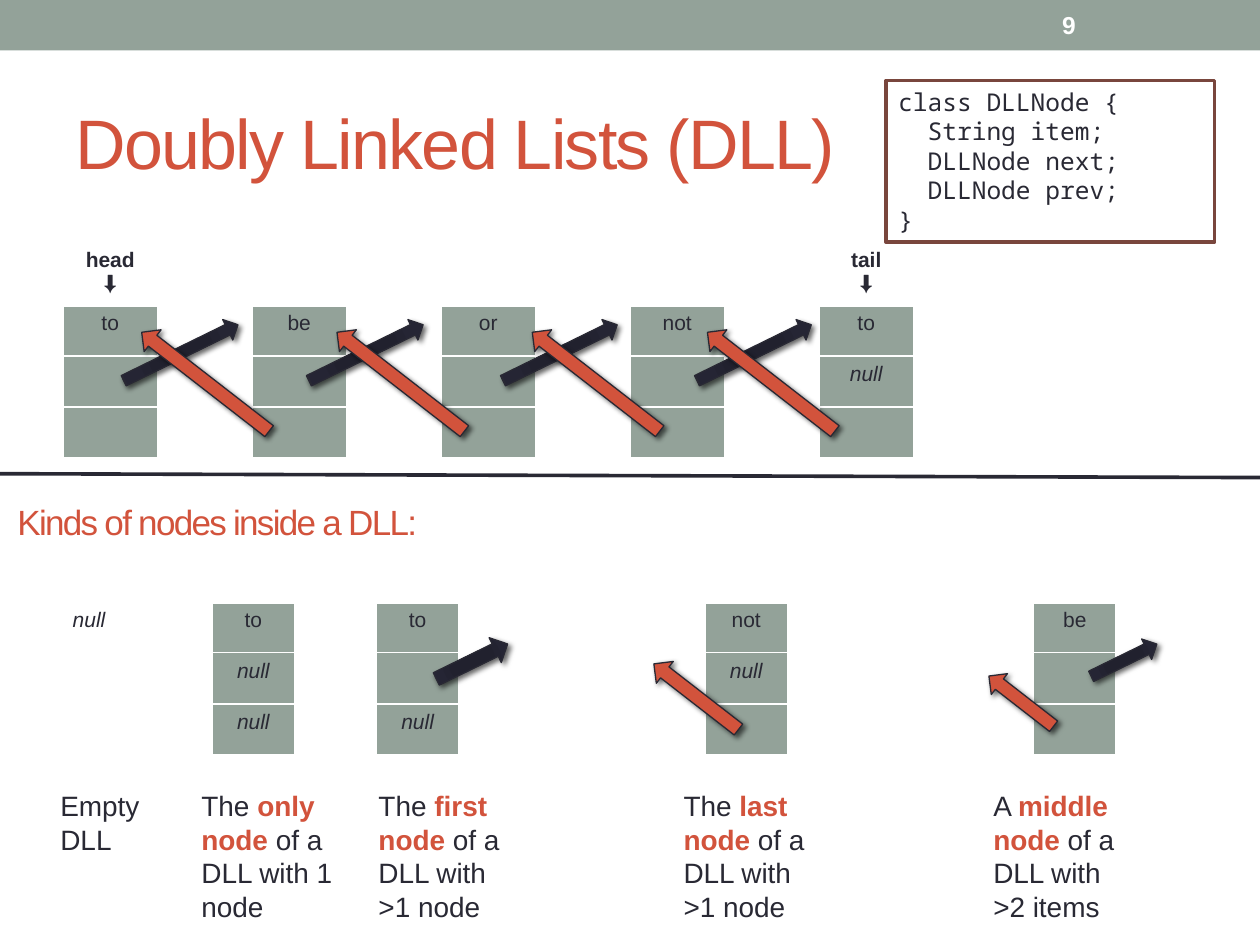
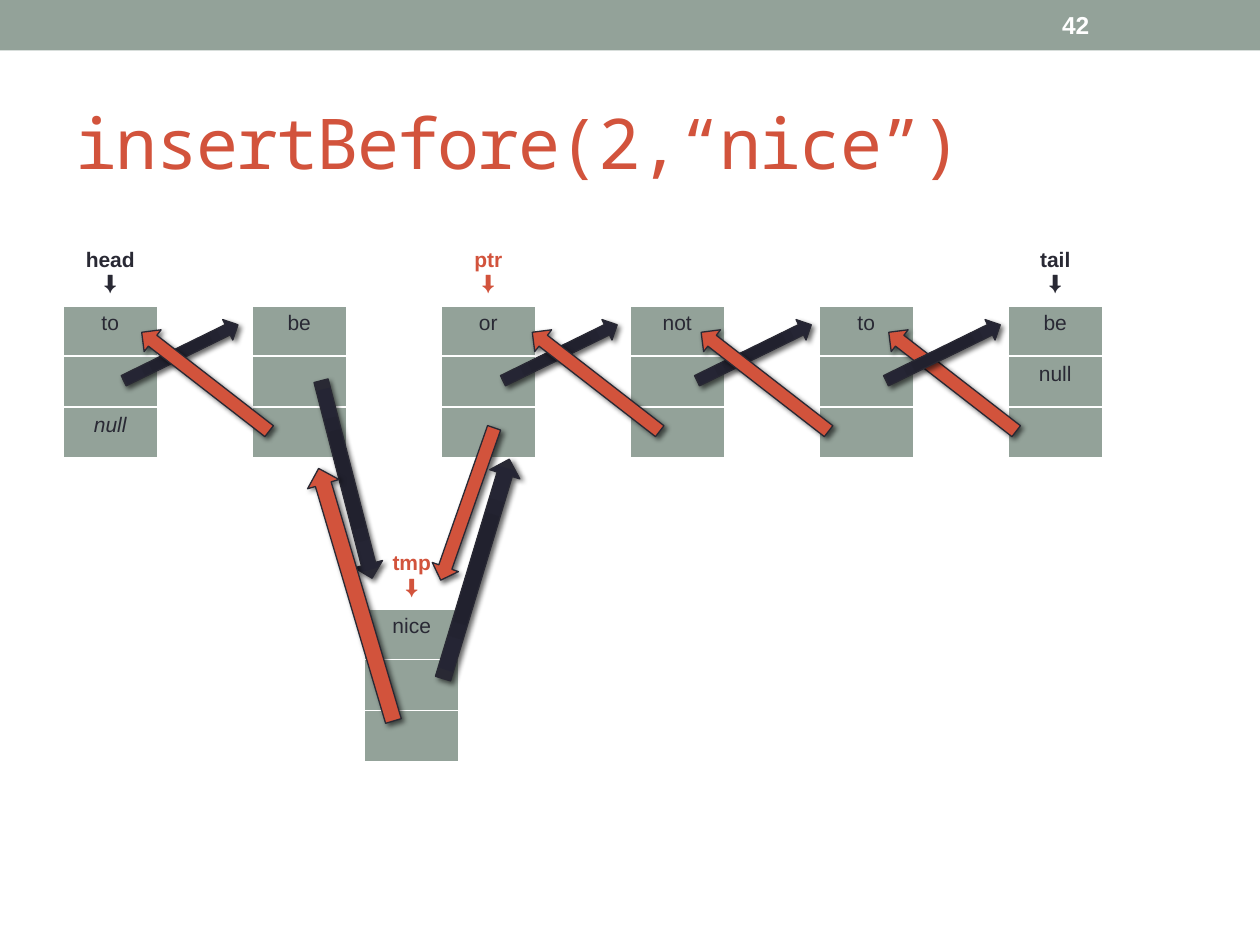
from typing import NamedTuple

from lxml.etree import SubElement
from pptx import Presentation
from pptx.dml.color import RGBColor
from pptx.enum.shapes import MSO_CONNECTOR as Connector, MSO_SHAPE as Shape
from pptx.enum.text import MSO_ANCHOR as Anchor, MSO_AUTO_SIZE as AutoSize, PP_ALIGN as Align
from pptx.oxml import parse_xml
from pptx.oxml.ns import nsdecls, qn
from pptx.util import Pt

SAGE = RGBColor(0x93, 0xA2, 0x99)
RED = RGBColor(0xD2, 0x53, 0x3C)
INK = RGBColor(0x29, 0x29, 0x34)
BROWN = RGBColor(0x79, 0x46, 0x3D)
WHITE = RGBColor(0xFF, 0xFF, 0xFF)

SANS = "Arial"
MONO = "Noto Sans Mono"
ROW_HEIGHT = 29.2
LABEL_HEIGHT = 34.8
LIST_LEFT, LIST_TOP = 36, 138.2
LIST_COLUMNS, COLUMN_WIDTH = 12, 54
NEXT_ANGLE, PREVIOUS_ANGLE = 333.9, 217.8

INK_GRADIENT = f"""<a:gradFill {nsdecls("a")} rotWithShape="1"><a:gsLst>
<a:gs pos="0"><a:srgbClr val="21212F"/></a:gs><a:gs pos="34000"><a:srgbClr val="21212E"/></a:gs>
<a:gs pos="70000"><a:srgbClr val="252534"/></a:gs><a:gs pos="100000"><a:srgbClr val="292934"/></a:gs>
</a:gsLst><a:path path="circle"><a:fillToRect l="100000" t="100000" r="100000" b="100000"/></a:path>
</a:gradFill>"""
SHADOW = f"""<a:outerShdw {nsdecls("a")} blurRad="38100" dist="25400" dir="2700000" rotWithShape="0">
<a:srgbClr val="000000"><a:alpha val="60000"/></a:srgbClr></a:outerShdw>"""


class Node(NamedTuple):
    item: str
    following: str = ""
    previous: str = ""
    italic_null: bool = True
    fill: RGBColor = SAGE


def style(paragraph, size, color=INK, name=SANS, bold=False, italic=False):
    font = paragraph.font
    font.size, font.name, font.bold, font.italic = Pt(size), name, bold, italic
    font.color.rgb = color


def tighten(paragraph):
    for span in paragraph.runs:
        span.font._element.set("spc", "-100")


def add_text(page, left, top, width, height, text="", anchor=Anchor.TOP):
    box = page.shapes.add_textbox(Pt(left), Pt(top), Pt(width), Pt(height))
    frame = box.text_frame
    frame.word_wrap = True
    frame.vertical_anchor = anchor
    frame.text = text
    return frame.paragraphs[0]


def add_rectangle(page, left, top, width, height, fill):
    box = page.shapes.add_shape(Shape.RECTANGLE, Pt(left), Pt(top), Pt(width), Pt(height))
    box.shadow.inherit = False
    box.fill.solid()
    box.fill.fore_color.rgb = fill
    box.line.fill.background()
    return box


def add_page(deck, title, number, title_font=SANS):
    page = deck.slides.add_slide(deck.slide_layouts[5])
    add_rectangle(page, 0, 0, 720, 28.8, SAGE)
    heading = page.shapes.title
    heading.left, heading.top, heading.width, heading.height = Pt(36), Pt(41.8), Pt(648), Pt(77.8)
    frame = heading.text_frame
    frame.text = title
    frame.auto_size = AutoSize.NONE
    frame.vertical_anchor = Anchor.MIDDLE
    para = frame.paragraphs[0]
    para.alignment = Align.LEFT
    style(para, 40, RED, title_font)
    tighten(para)
    style(add_text(page, 599.8, 1.4, 84.2, 25.9, number, Anchor.MIDDLE), 14, WHITE, bold=True)
    return page


def add_arrow(page, left, top, width, height, angle, color):
    arrow = page.shapes.add_shape(Shape.RIGHT_ARROW, Pt(left), Pt(top), Pt(width), Pt(height))
    arrow.rotation = angle
    arrow.line.color.rgb = INK
    arrow.line.width = Pt(0.75)
    arrow.shadow.inherit = False
    properties = arrow._element.spPr
    properties.find(qn("a:effectLst")).append(parse_xml(SHADOW))
    if color == INK:
        properties.find(qn("a:prstGeom")).addnext(parse_xml(INK_GRADIENT))
    else:
        arrow.fill.solid()
        arrow.fill.fore_color.rgb = color


def add_next_arrows(page, *lefts):
    for left in lefts:
        add_arrow(page, left, 195.1, 72.7, 13, NEXT_ANGLE, INK)


def add_previous_arrows(page, *lefts):
    for left in lefts:
        add_arrow(page, left, 210.2, 92.2, 15.8, PREVIOUS_ANGLE, RED)


def set_borders(cell, bottom):
    properties = cell._tc.get_or_add_tcPr()
    for index, (side, width) in enumerate(zip("LRTB", (1, 1, 1, bottom))):
        border = SubElement(properties, qn(f"a:ln{side}"), w=str(Pt(width)))
        fill = SubElement(border, qn("a:solidFill"))
        SubElement(fill, qn("a:srgbClr"), val=str(WHITE))
        properties.insert(index, border)


def fill_cell(cell, text, color=INK, bold=False, italic=False):
    cell.text = text
    for para in cell.text_frame.paragraphs:
        para.alignment = Align.CENTER
        style(para, 12, color, bold=bold, italic=italic)


def add_nodes(page, left, top, columns, column_width, nodes, labels):
    label_height = LABEL_HEIGHT if labels else ROW_HEIGHT
    height = label_height + 3 * ROW_HEIGHT
    table = page.shapes.add_table(
        4, columns, Pt(left), Pt(top), Pt(column_width * columns), Pt(height)).table
    table.first_row = table.horz_banding = False
    for column in table.columns:
        column.width = Pt(column_width)
    for index, row in enumerate(table.rows):
        row.height = Pt(ROW_HEIGHT if index else label_height)
        for cell in row.cells:
            cell.fill.background()
            set_borders(cell, 1 if index else 3)
    for column, (label, color) in labels.items():
        fill_cell(table.cell(0, column), f"{label}\n⬇", color, bold=True)
    for column, node in nodes.items():
        for row, text in enumerate((node.item, node.following, node.previous), 1):
            cell = table.cell(row, column)
            cell.fill.solid()
            cell.fill.fore_color.rgb = node.fill
            if text:
                fill_cell(cell, text, italic=text == "null" and node.italic_null)


def add_list(page, nodes, labels):
    spaced = {2 * index: node for index, node in enumerate(nodes)}
    add_nodes(page, LIST_LEFT, LIST_TOP, LIST_COLUMNS, COLUMN_WIDTH, spaced, labels)


def add_code(page, code):
    box = add_rectangle(page, 506.2, 46.1, 187.9, 92.2, WHITE)
    box.line.color.rgb = BROWN
    box.line.width = Pt(2.08)
    frame = box.text_frame
    frame.vertical_anchor = Anchor.TOP
    frame.text = code
    for para in frame.paragraphs:
        para.alignment = Align.LEFT
        style(para, 14, name=MONO)


def add_caption(page, left, width, *parts):
    para = add_text(page, left, 447.1, width, 85)
    style(para, 16)
    for index, part in enumerate(parts):
        span = para.add_run()
        span.text = part
        if index == 1:
            span.font.bold = True
            span.font.color.rgb = RED


def add_divider(page):
    line = page.shapes.add_connector(Connector.STRAIGHT, Pt(0), Pt(270.7), Pt(720), Pt(272.9))
    line.line.color.rgb = INK
    line.line.width = Pt(2.08)
    SubElement(line._element.spPr, qn("a:effectLst"))


def build_overview(deck):
    page = add_page(deck, "Doubly Linked Lists (DLL)", "9")
    add_list(
        page,
        [Node("to"), Node("be"), Node("or"), Node("not"), Node("to", "null")],
        {0: ("head", INK), 8: ("tail", INK)})
    add_next_arrows(page, 67, 172.8, 283.7, 394.6)
    add_previous_arrows(page, 394.6, 294.5, 182.9, 71.3)
    add_code(page, "class DLLNode {\n  String item;\n  DLLNode next;\n  DLLNode prev;\n}")

    add_divider(page)
    kinds = add_text(page, 2.9, 269.3, 648, 56.9, "Kinds of nodes inside a DLL:", Anchor.MIDDLE)
    style(kinds, 20, RED)
    tighten(kinds)
    add_nodes(page, 27.4, 314.6, 14, 46.95, {
        0: Node("null", fill=WHITE),
        2: Node("to", "null", "null"),
        4: Node("to", "", "null"),
        8: Node("not", "null"),
        12: Node("be"),
    }, {})
    add_arrow(page, 247, 370.1, 45.4, 15.8, NEXT_ANGLE, INK)
    add_arrow(page, 367.2, 390.2, 61.2, 15.8, PREVIOUS_ANGLE, RED)
    add_arrow(page, 621.4, 370.8, 41.8, 13, NEXT_ANGLE, INK)
    add_arrow(page, 560.2, 393.1, 46.8, 15.1, PREVIOUS_ANGLE, RED)
    add_caption(page, 27.4, 80.6, "Empty DLL")
    add_caption(page, 108, 92.2, "The ", "only node", " of a DLL with 1 node")
    add_caption(page, 209.2, 92.9, "The ", "first node", " of a DLL with >1 node")
    add_caption(page, 383.5, 92.9, "The ", "last node", " of a DLL with >1 node")
    add_caption(page, 560.5, 92.9, "A ", "middle node", " of a DLL with >2 items")


def build_insertion(deck):
    page = add_page(deck, "insertBefore(2,“nice”)", "42", MONO)
    add_list(
        page,
        [Node("to", "", "null"), Node("be"), Node("or"), Node("not"), Node("to"),
         Node("be", "null", italic_null=False)],
        {0: ("head", INK), 4: ("ptr", RED), 10: ("tail", INK)})
    add_next_arrows(page, 67, 283.7, 394.6)
    add_previous_arrows(page, 498.2, 294.5, 71.3)
    add_next_arrows(page, 502.6)
    add_previous_arrows(page, 391)

    add_nodes(page, 208.3, 311.5, 1, COLUMN_WIDTH, {0: Node("nice")}, {0: ("tmp", RED)})
    add_arrow(page, 139.7, 265.7, 116.6, 16.6, 75.5, INK)
    add_arrow(page, 128.2, 330.5, 150.5, 18.7, 253.5, RED)
    add_arrow(page, 221, 280.1, 92.2, 15.8, 109.3, RED)
    add_arrow(page, 206.6, 316.1, 131, 18, 286.8, INK)


def main():
    deck = Presentation()
    deck.slide_width, deck.slide_height = Pt(720), Pt(540)
    build_overview(deck)
    build_insertion(deck)
    deck.save("out.pptx")


if __name__ == "__main__":
    main()
